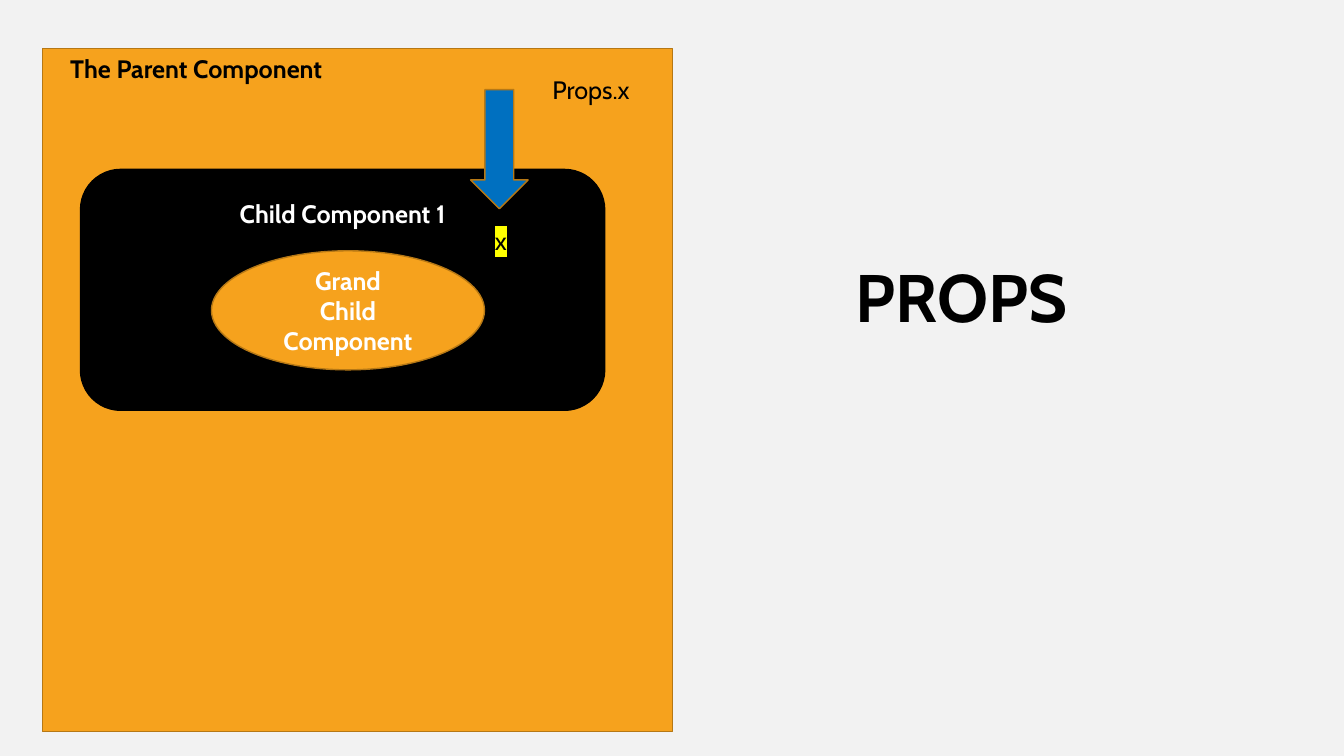
import dataclasses

import pptx
import pptx.dml.color
import pptx.enum.shapes
import pptx.enum.text
import pptx.oxml.ns
import pptx.util
from lxml import etree

Cm = pptx.util.Cm
SHAPE = pptx.enum.shapes.MSO_SHAPE
ANCHOR = pptx.enum.text.MSO_ANCHOR
ALIGN = pptx.enum.text.PP_ALIGN


@dataclasses.dataclass(frozen=True)
class Theme:
    font: str = "Cabin"
    body: int = 18
    title: int = 48
    background: str = "F2F2F2"
    orange: str = "F6A21D"
    outline: str = "B67815"
    black: str = "000000"
    white: str = "FFFFFF"
    blue: str = "0070C0"
    highlight: str = "FFFF00"


theme = Theme()
rgb = pptx.dml.color.RGBColor.from_string


def write(frame, text, size=theme.body, color=theme.black, bold=False,
          align=ALIGN.LEFT, anchor=ANCHOR.TOP, highlight=None):
    """Fill a text frame, one paragraph for each line of text."""
    frame.word_wrap = True
    frame.vertical_anchor = anchor
    for index, line in enumerate(text.split("\n")):
        paragraph = frame.add_paragraph() if index else frame.paragraphs[0]
        paragraph.alignment = align
        run = paragraph.add_run()
        run.text = line
        run.font.name = theme.font
        run.font.size = pptx.util.Pt(size)
        run.font.bold = bold
        run.font.color.rgb = rgb(color)
        if highlight:
            qn = pptx.oxml.ns.qn
            mark = etree.Element(qn("a:highlight"))
            etree.SubElement(mark, qn("a:srgbClr"), val=highlight)
            run.font._element.find(qn("a:solidFill")).addnext(mark)


def add_block(kind, left, top, width, height, fill, line):
    """Add a flat preset shape; lengths are centimetres."""
    block = slide.shapes.add_shape(kind, Cm(left), Cm(top), Cm(width), Cm(height))
    block.shadow.inherit = False
    block.fill.solid()
    block.fill.fore_color.rgb = rgb(fill)
    block.line.color.rgb = rgb(line)
    block.line.width = pptx.util.Pt(1)
    return block


deck = pptx.Presentation()
deck.slide_width, deck.slide_height = Cm(33.87), Cm(19.05)
slide = deck.slides.add_slide(deck.slide_layouts[6])
slide.background.fill.solid()
slide.background.fill.fore_color.rgb = rgb(theme.background)

# Nested components, from the outside in
add_block(SHAPE.RECTANGLE, 1.07, 1.22, 15.88, 17.22, theme.orange, theme.outline)

child = add_block(SHAPE.ROUNDED_RECTANGLE, 2.03, 4.27, 13.21, 6.07, theme.black, theme.black)
child.text_frame.margin_top = Cm(0.42)
write(child.text_frame, "Child Component 1", color=theme.white, bold=True, align=ALIGN.CENTER)

grandchild = add_block(SHAPE.OVAL, 5.33, 6.32, 6.88, 3, theme.orange, theme.outline)
write(grandchild.text_frame, "Grand\nChild\nComponent", color=theme.white, bold=True,
      align=ALIGN.CENTER, anchor=ANCHOR.MIDDLE)

# The prop passed down from parent to child
add_block(SHAPE.DOWN_ARROW, 11.86, 2.26, 1.45, 3, theme.blue, theme.outline)

# Labels: text, left, top, width, height, format
labels = [
    ("The Parent Component", 1.52, 1.22, 9.78, 1.02, {"bold": True}),
    ("Props.x", 13.67, 1.75, 2.77, 1.02, {}),
    ("x", 12.22, 5.56, 2.64, 1.02, {"highlight": theme.highlight}),
    ("PROPS", 18.24, 6.32, 11.99, 2.31,
     {"size": theme.title, "bold": True, "align": ALIGN.CENTER}),
]
for text, left, top, width, height, style in labels:
    label = slide.shapes.add_textbox(Cm(left), Cm(top), Cm(width), Cm(height))
    write(label.text_frame, text, **style)

deck.save("out.pptx")
